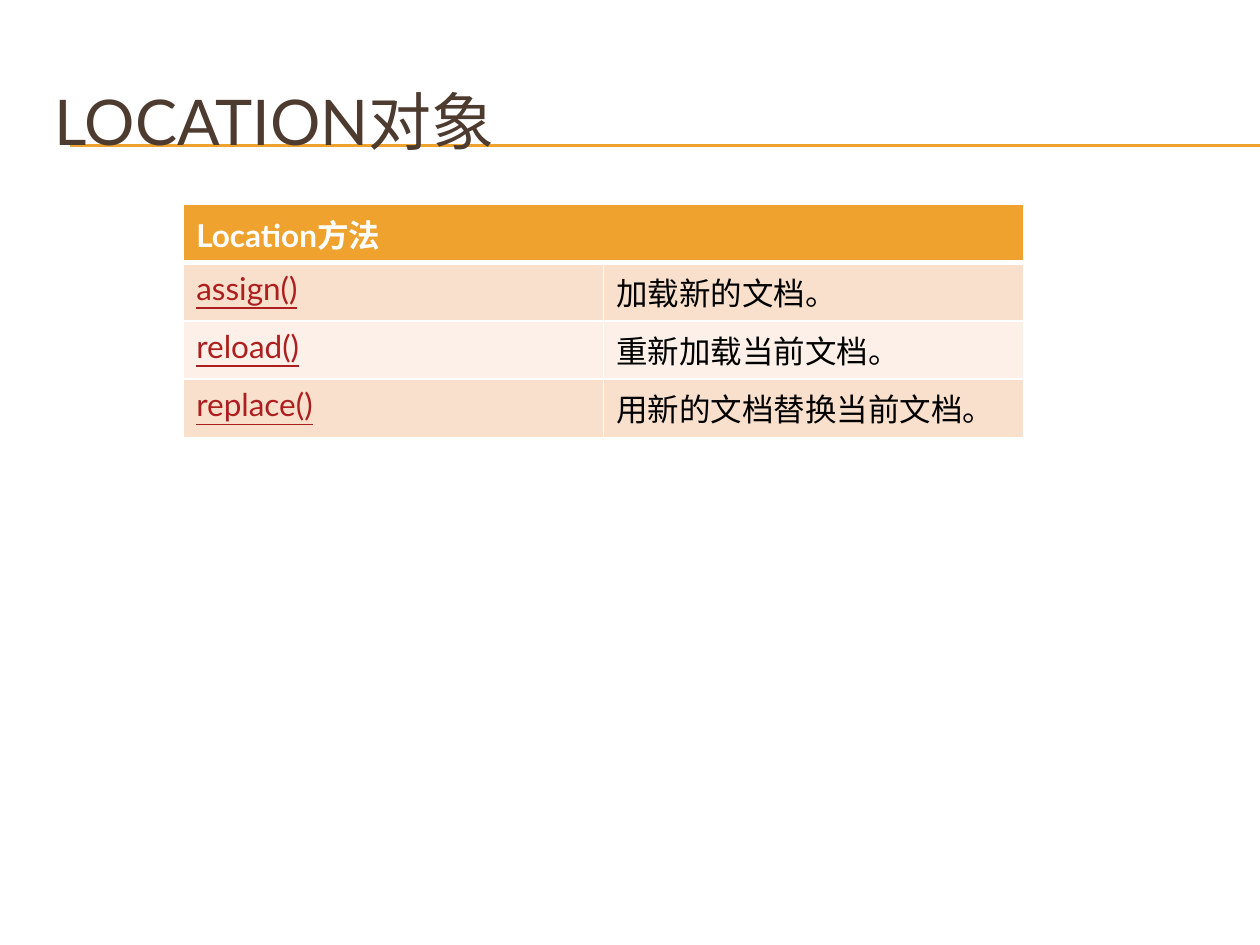
from lxml.etree import SubElement
from pptx import Presentation
from pptx.dml.color import RGBColor
from pptx.enum.shapes import MSO_CONNECTOR
from pptx.enum.text import MSO_ANCHOR, MSO_AUTO_SIZE, PP_ALIGN
from pptx.oxml import parse_xml
from pptx.oxml.ns import nsdecls, qn
from pptx.util import Pt

ORANGE = RGBColor(0xF0, 0xA2, 0x2E)
BROWN = RGBColor(0x4E, 0x3B, 0x30)
RED = RGBColor(0xAD, 0x1F, 0x1F)
BLACK = RGBColor(0, 0, 0)
WHITE = RGBColor(0xFF, 0xFF, 0xFF)
BANDS = (RGBColor(0xF9, 0xE0, 0xCD), RGBColor(0xFC, 0xF0, 0xE8))
FONT = "Lato"

METHODS = [
    ("assign()", "加载新的文档。"),
    ("reload()", "重新加载当前文档。"),
    ("replace()", "用新的文档替换当前文档。"),
]


def style_font(paragraph, size, color, bold=False, underline=False):
    font = paragraph.font
    font.name = FONT
    font.size = Pt(size)
    font.color.rgb = color
    font.bold = bold
    font.underline = underline


def add_rule(slide, top):
    rule = slide.shapes.add_connector(
        MSO_CONNECTOR.STRAIGHT, Pt(40.3), Pt(top), Pt(720), Pt(top))
    rule.line.color.rgb = ORANGE
    rule.line.width = Pt(0.75)
    SubElement(rule._element.spPr, qn("a:effectLst"))


def set_title(slide, text):
    """Fill the title placeholder and bring it in front of the rules."""
    title = slide.shapes.title
    title.left, title.top, title.width, title.height = Pt(24), Pt(36), Pt(684), Pt(66)
    frame = title.text_frame
    frame.text = text
    frame.word_wrap = True
    frame.auto_size = MSO_AUTO_SIZE.NONE
    frame.vertical_anchor = MSO_ANCHOR.MIDDLE
    paragraph = frame.paragraphs[0]
    paragraph.alignment = PP_ALIGN.LEFT
    style_font(paragraph, 36, BROWN)
    slide.shapes._spTree.append(title._element)


def set_borders(cell, top, bottom):
    """Draw white borders; top and bottom are widths in points."""
    properties = cell._tc.get_or_add_tcPr()
    widths = {"lnL": 1, "lnR": 1, "lnT": top, "lnB": bottom}
    for index, (side, width) in enumerate(widths.items()):
        properties.insert(index, parse_xml(
            f'<a:{side} {nsdecls("a")} w="{Pt(width)}"><a:solidFill>'
            f'<a:srgbClr val="{WHITE}"/></a:solidFill></a:{side}>'))


def fill_cell(cell, text, fill, color, bold=False, underline=False):
    cell.text = text
    cell.fill.solid()
    cell.fill.fore_color.rgb = fill
    style_font(cell.text_frame.paragraphs[0], 18, color, bold, underline)


def add_method_table(slide, heading, methods):
    row_count = len(methods) + 1
    table = slide.shapes.add_table(
        row_count, 2, Pt(105), Pt(116.8), Pt(480), Pt(29.2 * row_count)).table
    table.cell(0, 0).merge(table.cell(0, 1))
    fill_cell(table.cell(0, 0), heading, ORANGE, WHITE, bold=True)
    for row, (method, description) in enumerate(methods, start=1):
        band = BANDS[(row - 1) % 2]
        fill_cell(table.cell(row, 0), method, band, RED, underline=True)
        fill_cell(table.cell(row, 1), description, band, BLACK)
    for row in range(row_count):
        for column in range(2):
            set_borders(table.cell(row, column),
                        top=3 if row == 1 else 1, bottom=3 if row == 0 else 1)


def main():
    presentation = Presentation()
    presentation.slide_width, presentation.slide_height = Pt(720), Pt(540)
    slide = presentation.slides.add_slide(presentation.slide_layouts[5])
    for top in (82.8, 83.5):
        add_rule(slide, top)
    set_title(slide, "LOCATION对象")
    add_method_table(slide, "Location方法", METHODS)
    presentation.save("out.pptx")


if __name__ == "__main__":
    main()
